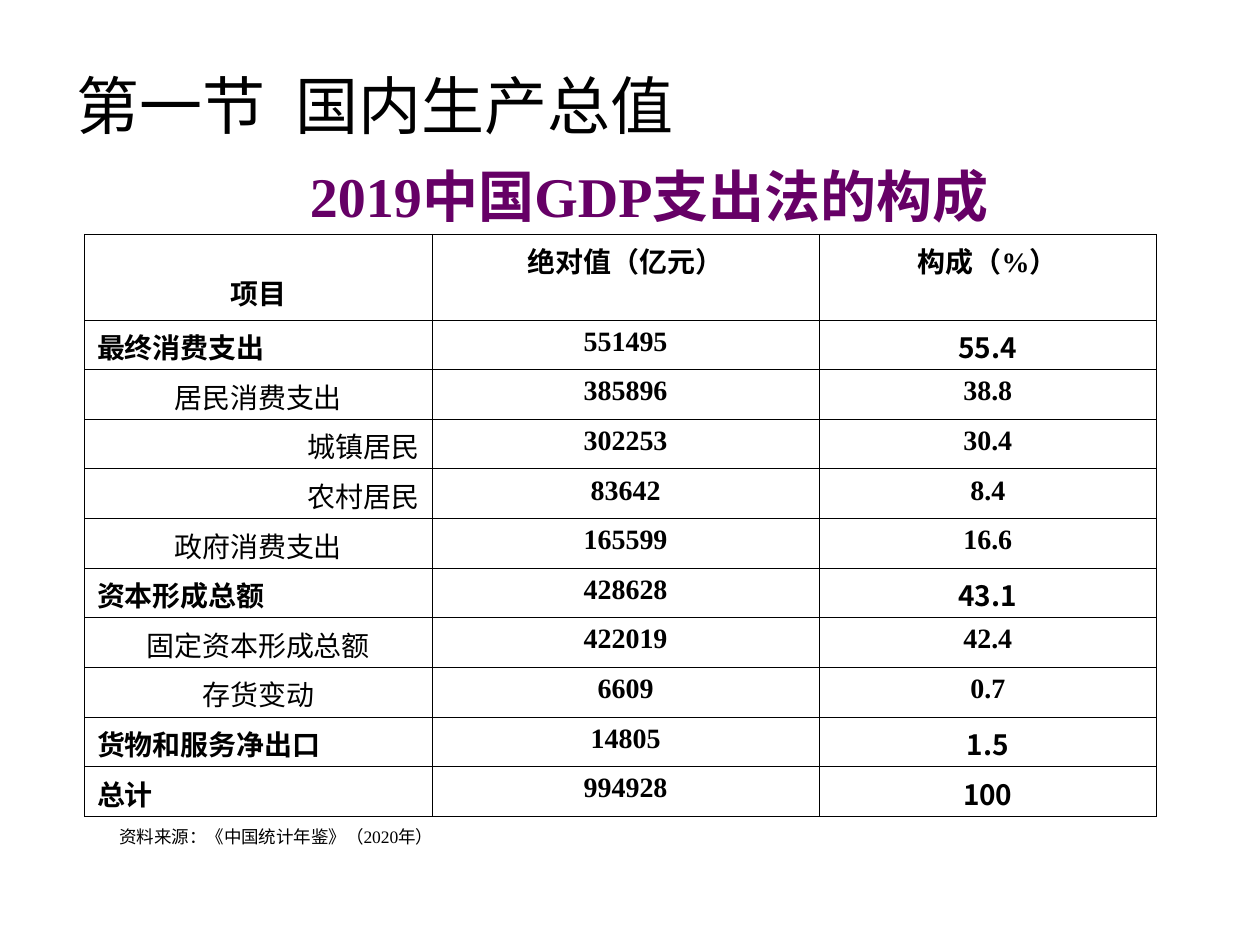
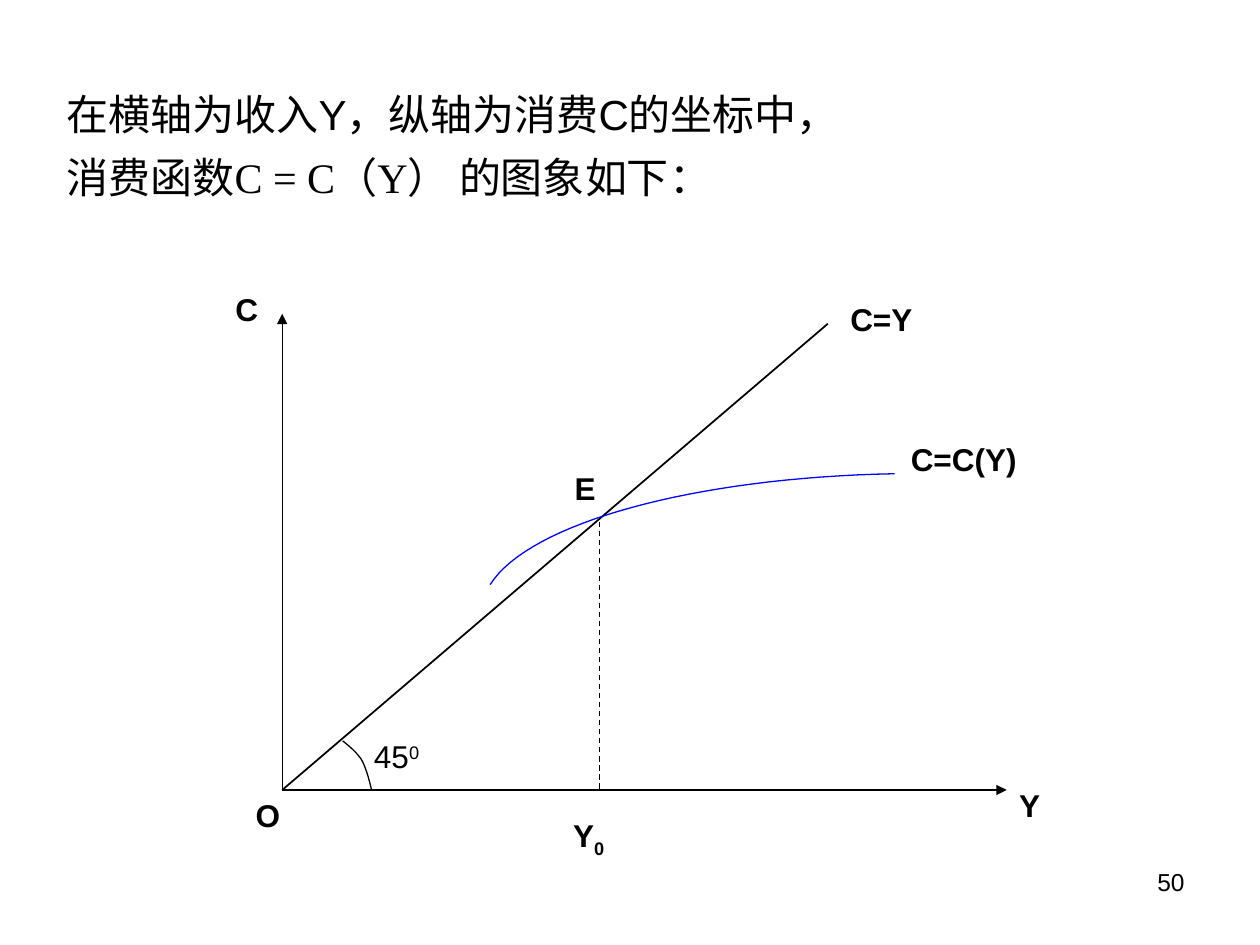
from lxml.etree import SubElement
from pptx import Presentation
from pptx.dml.color import RGBColor
from pptx.enum.dml import MSO_LINE
from pptx.enum.shapes import MSO_CONNECTOR
from pptx.enum.text import MSO_ANCHOR, PP_ALIGN
from pptx.oxml.ns import qn
from pptx.util import Inches, Pt

# Shared look
COLORS = {"ink": "000000", "heading": "660066", "curve": "0000FF"}
SANS, SERIF, CJK = "Arial", "Times New Roman", "Noto Sans CJK SC"
LEFT, CENTER, RIGHT = PP_ALIGN.LEFT, PP_ALIGN.CENTER, PP_ALIGN.RIGHT

# Slide 1 content: (level, item, amount, share)
SECTION_TITLE = "第一节\t国内生产总值"
TABLE_TITLE = "2019中国GDP支出法的构成"
SOURCE_NOTE = "资料来源：《中国统计年鉴》（2020年）"
TABLE_HEADER = ("项目", "绝对值（亿元）", "构成（%）")
GDP_ROWS = [
    (0, "最终消费支出", "551495", "55.4"),
    (1, "居民消费支出", "385896", "38.8"),
    (2, "城镇居民", "302253", "30.4"),
    (2, "农村居民", "83642", "8.4"),
    (1, "政府消费支出", "165599", "16.6"),
    (0, "资本形成总额", "428628", "43.1"),
    (1, "固定资本形成总额", "422019", "42.4"),
    (1, "存货变动", "6609", "0.7"),
    (0, "货物和服务净出口", "14805", "1.5"),
    (0, "总计", "994928", "100"),
]
LEVEL_ALIGN = (LEFT, CENTER, RIGHT)
COLUMN_WIDTHS = (2.76, 3.07, 2.68)
HEADER_HEIGHT, ROW_HEIGHT = 0.68, 0.394
TABLE_LEFT, TABLE_TOP = 0.67, 1.86

# Slide 2 content
INTRO_LINES = ("在横轴为收入Y，纵轴为消费C的坐标中，", "消费函数")
INTRO_FORMULA, INTRO_END = "C = C（Y） ", "的图象如下："
PAGE_NUMBER = "50"

ORIGIN = (2.24, 6.27)
C_AXIS_TOP = (ORIGIN[0], 2.49)
Y_AXIS_END = (7.99, ORIGIN[1])
DIAGONAL_END = (6.57, 2.57)
EQUILIBRIUM = (4.76, 4.14)
INCOME_FOOT = (EQUILIBRIUM[0], ORIGIN[1])

# (start, end, width, arrow, dashed)
GRAPH_LINES = [
    (ORIGIN, C_AXIS_TOP, 0.75, True, False),
    (ORIGIN, Y_AXIS_END, 0.75, True, False),
    (ORIGIN, DIAGONAL_END, 1, False, False),
    (EQUILIBRIUM, INCOME_FOOT, 0.75, False, True),
]
# Each curve is a chain of cubic segments of four points
GRAPH_CURVES = [
    ("curve", [((7.1, 3.76), (5.51, 3.79), (4.2, 4.15), (3.89, 4.64))]),
    ("ink", [((2.72, 5.88), (2.77, 5.92), (2.83, 5.97), (2.87, 6.03)),
             ((2.87, 6.03), (2.91, 6.1), (2.94, 6.23), (2.95, 6.27))]),
]
# (text, raised or lowered part, its baseline in percent, left, top, width, bold, alignment)
GRAPH_LABELS = [
    ("Y", "", 0, 7.99, 6.19, 0.79, True, LEFT),
    ("C=Y", "", 0, 6.65, 2.33, 1.34, True, LEFT),
    ("C", "", 0, 1.77, 2.25, 0.55, True, LEFT),
    ("45", "0", 30, 2.87, 5.8, 0.94, False, LEFT),
    ("O", "", 0, 1.93, 6.27, 0.55, True, LEFT),
    ("C=C(Y)", "", 0, 7.13, 3.44, 1.58, True, LEFT),
    ("E", "", 0, 4.21, 3.67, 0.87, True, CENTER),
    ("Y", "0", -25, 4.45, 6.43, 0.71, True, LEFT),
]


def color(name):
    return RGBColor.from_string(COLORS[name])


def style_paragraph(paragraph, size, face=SANS, bold=False, align=LEFT, ink="ink"):
    paragraph.alignment = align
    font = paragraph.font
    font.size, font.bold, font.name = Pt(size), bold, face
    font.color.rgb = color(ink)
    defaults = paragraph._p.pPr.find(qn("a:defRPr"))
    SubElement(defaults, qn("a:ea")).set("typeface", CJK)


def add_text(slide, box, text, size, anchor=MSO_ANCHOR.TOP, tab=None, indent=None, **style):
    """Add a one-paragraph text box and return its paragraph."""
    frame = slide.shapes.add_textbox(*map(Inches, box)).text_frame
    frame.word_wrap, frame.vertical_anchor = True, anchor
    paragraph = frame.paragraphs[0]
    if text:
        paragraph.text = text
    properties = paragraph._p.get_or_add_pPr()
    if indent:
        properties.set("indent", str(Inches(indent)))
    if tab:
        stop = SubElement(SubElement(properties, qn("a:tabLst")), qn("a:tab"))
        stop.set("pos", str(Inches(tab)))
        stop.set("algn", "l")
    style_paragraph(paragraph, size, **style)
    return paragraph


def add_run(paragraph, text, face=None, baseline=0):
    run = paragraph.add_run()
    run.text = text
    if face:
        run.font.name = face
        SubElement(run._r.rPr, qn("a:ea")).set("typeface", CJK)
    if baseline:
        run._r.get_or_add_rPr().set("baseline", str(baseline * 1000))


def fill_cell(cell, text, top=0.05, **style):
    cell.margin_left = cell.margin_right = Inches(0.1)
    cell.margin_top, cell.margin_bottom = Inches(top), Inches(0.02)
    paragraph = cell.text_frame.paragraphs[0]
    paragraph.text = text
    style_paragraph(paragraph, 16, **style)
    properties = cell._tc.get_or_add_tcPr()
    for side in ("lnL", "lnR", "lnT", "lnB"):
        border = SubElement(properties, qn(f"a:{side}"), w=str(Pt(0.45)))
        fill = SubElement(border, qn("a:solidFill"))
        SubElement(fill, qn("a:srgbClr"), val=COLORS["ink"])
    cell.fill.background()


def add_gdp_table(slide):
    row_count = len(GDP_ROWS) + 1
    height = HEADER_HEIGHT + ROW_HEIGHT * len(GDP_ROWS)
    box = (TABLE_LEFT, TABLE_TOP, sum(COLUMN_WIDTHS), height)
    table = slide.shapes.add_table(row_count, len(COLUMN_WIDTHS), *map(Inches, box)).table
    table.first_row = table.horz_banding = False
    for column, width in zip(table.columns, COLUMN_WIDTHS):
        column.width = Inches(width)
    for index, row in enumerate(table.rows):
        row.height = Inches(ROW_HEIGHT if index else HEADER_HEIGHT)

    for column, text in enumerate(TABLE_HEADER):
        fill_cell(table.cell(0, column), text, top=0.05 if column else 0.3,
                  face=SERIF, bold=True, align=CENTER)
    for row, (level, item, amount, share) in enumerate(GDP_ROWS, 1):
        main = level == 0
        fill_cell(table.cell(row, 0), item, face=SERIF, bold=main, align=LEVEL_ALIGN[level])
        fill_cell(table.cell(row, 1), amount, face=SERIF, bold=True, align=CENTER)
        fill_cell(table.cell(row, 2), share, face=CJK if main else SERIF,
                  bold=True, align=CENTER)


def add_line(slide, start, end, width, arrow, dashed):
    points = map(Inches, start + end)
    connector = slide.shapes.add_connector(MSO_CONNECTOR.STRAIGHT, *points)
    line = connector.line
    line.color.rgb, line.width = color("ink"), Pt(width)
    if dashed:
        line.dash_style = MSO_LINE.DASH
    if arrow:
        SubElement(line._get_or_add_ln(), qn("a:tailEnd"), type="triangle")
    SubElement(connector._element.spPr, qn("a:effectLst"))


def bezier_point(segment, t):
    weights = ((1 - t) ** 3, 3 * t * (1 - t) ** 2, 3 * t ** 2 * (1 - t), t ** 3)
    return tuple(Inches(sum(w * p[axis] for w, p in zip(weights, segment)))
                 for axis in (0, 1))


def add_curve(slide, ink, segments, steps=32):
    points = [bezier_point(segment, step / steps)
              for segment in segments for step in range(steps + 1)]
    builder = slide.shapes.build_freeform(*points[0])
    builder.add_line_segments(points[1:], close=False)
    shape = builder.convert_to_shape()
    shape.shadow.inherit = False
    shape.fill.background()
    shape.line.color.rgb, shape.line.width = color(ink), Pt(0.75)


def build_gdp_slide(slide):
    add_text(slide, (0.51, 0.36, 9, 0.94), SECTION_TITLE, 36,
             anchor=MSO_ANCHOR.MIDDLE, tab=1.74)
    add_text(slide, (1.85, 1.23, 6.61, 0.64), TABLE_TITLE, 32,
             face=SERIF, bold=True, align=CENTER, ink="heading")
    add_gdp_table(slide)
    add_text(slide, (0.75, 6.42, 2.81, 0.44), SOURCE_NOTE, 10,
             anchor=MSO_ANCHOR.MIDDLE, indent=0.1, face=SERIF)


def build_consumption_slide(slide):
    add_text(slide, (7.17, 6.83, 2.33, 0.52), PAGE_NUMBER, 14, align=RIGHT)

    # Introduction
    intro = add_text(slide, (0.43, 0.68, 9.29, 0.85), "", 24, anchor=MSO_ANCHOR.MIDDLE)
    intro.line_spacing = 1.25
    add_run(intro, INTRO_LINES[0])
    intro.add_line_break()
    add_run(intro, INTRO_LINES[1])
    add_run(intro, INTRO_FORMULA, SERIF)
    add_run(intro, INTRO_END)

    # Graph
    for line in GRAPH_LINES:
        add_line(slide, *line)
    for curve in GRAPH_CURVES:
        add_curve(slide, *curve)
    for text, script, baseline, left, top, width, bold, align in GRAPH_LABELS:
        label = add_text(slide, (left, top, width, 0.4), text, 18, bold=bold, align=align)
        if script:
            add_run(label, script, baseline=baseline)


def main():
    presentation = Presentation()
    presentation.slide_width, presentation.slide_height = Inches(10), Inches(7.5)
    for build in (build_gdp_slide, build_consumption_slide):
        build(presentation.slides.add_slide(presentation.slide_layouts[6]))
    presentation.save("out.pptx")


if __name__ == "__main__":
    main()
